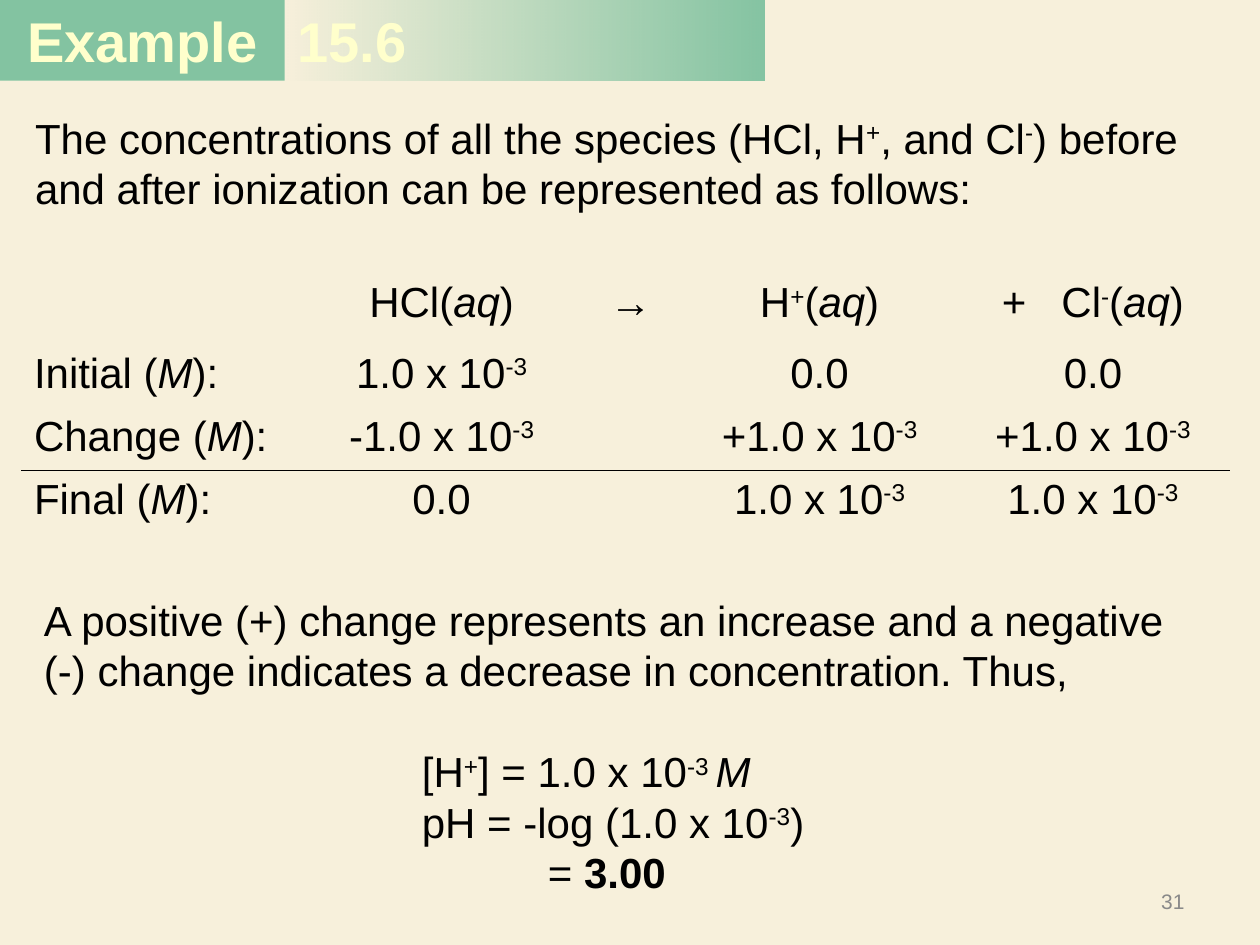
from dataclasses import dataclass
from itertools import groupby

from lxml import etree
from pptx import Presentation
from pptx import util as u
from pptx.dml.color import RGBColor
from pptx.enum import shapes, text
from pptx.oxml import ns


@dataclass(frozen=True)
class Theme:
    """Colours, font and type sizes of the slide."""
    cream: str = "F7F0DB"
    green: str = "109769"
    lemon: str = "FFFFCC"
    ink: str = "000000"
    grey: str = "898989"
    font: str = "Arial"
    heading: int = 32
    body: int = 24
    number: int = 12


THEME = Theme()
LEFT, CENTER, RIGHT = text.PP_ALIGN.LEFT, text.PP_ALIGN.CENTER, text.PP_ALIGN.RIGHT
TOP, MIDDLE = text.MSO_ANCHOR.TOP, text.MSO_ANCHOR.MIDDLE
NO_GRID_STYLE = "{2D5ABB26-0587-4C30-8999-92F81FD0307C}"

INTRO = [("The concentrations of all the species (HCl, H^+^, and Cl^-^) before", 0, 0),
         ("and after ionization can be represented as follows:", 0, 0)]
CONCLUSION = [("A positive (+) change represents an increase and a negative", 0, 0),
              ("(-) change indicates a decrease in concentration. Thus,", 0, 0),
              ("[H^+^] = 1.0 x 10^-3 ^_M_", 3, 1),
              ("pH = -log (1.0 x 10^-3^)", 3, 0),
              ("= *3.00*", 4, 0)]
ICE_ROWS = [["", "HCl(_aq_)", "→", "H^+^(_aq_)", "+~ ~Cl^-^(_aq_)"],
            ["Initial (_M_):", "1.0 x 10^-3^", "", "0.0", "0.0"],
            ["Change (_M_):", "-1.0 x 10^-3^", "", "+1.0 x 10^-3^", "+1.0 x 10^-3^"],
            ["Final (_M_):", "0.0", "", "1.0 x 10^-3^", "1.0 x 10^-3^"]]
COLUMN_WIDTHS = [2.25, 2.17, 0.83, 2.17, 2.17]
ROW_HEIGHTS = [0.56, 0.5, 0.5, 0.56]
LAST_ROW_BEFORE_RULE = 2


def inches(*lengths):
    """Convert plain numbers to lengths."""
    return [u.Inches(length) for length in lengths]


def add_xml(parent, markup):
    """Append a DrawingML fragment to an element."""
    parent.append(etree.fromstring(markup.replace(">", f' {ns.nsdecls("a")}>', 1)))


def write(paragraph, marked, size=THEME.body, color=THEME.ink, align=LEFT, bold=None):
    """Write text where ^ _ * ~ toggle superscript, italic, bold and a wide gap."""
    paragraph.alignment = align
    font = paragraph.font
    font.name, font.size, font.bold = THEME.font, u.Pt(size), bold
    font.color.rgb = RGBColor.from_string(color)
    active = set()
    for is_mark, letters in groupby(marked, lambda letter: letter in "^_*~"):
        if is_mark:
            for mark in letters:
                active ^= {mark}
            continue
        run = paragraph.add_run()
        run.text = "".join(letters)
        if "_" in active:
            run.font.italic = True
        if "*" in active:
            run.font.bold = True
        if "^" in active:
            run.font._element.set("baseline", "30000")
        if "~" in active:
            run.font._element.set("spc", "1330")


def set_frame(shape, anchor, wrap=True):
    """Anchor and size a text frame, and return it."""
    frame = shape.text_frame
    frame.word_wrap, frame.vertical_anchor = wrap, anchor
    frame.auto_size = text.MSO_AUTO_SIZE.NONE
    return frame


def add_band(slide, left, width):
    """Add a borderless rectangle to the heading strip."""
    band = slide.shapes.add_shape(shapes.MSO_SHAPE.RECTANGLE, *inches(left, 0, width, 0.64))
    band.shadow.inherit = False
    band.line.fill.background()
    return band


def add_heading(slide):
    """Build the label band, the fading band and the example number."""
    label = add_band(slide, 0, 2.26)
    label.fill.solid()
    label.fill.fore_color.rgb = RGBColor.from_string(THEME.green)
    add_xml(label.element.spPr.find(".//" + ns.qn("a:srgbClr")), '<a:alpha val="50000"></a:alpha>')

    fade = add_band(slide, 2.26, 3.81)
    fade.fill.gradient()
    fade.fill.gradient_angle = 0
    for stop, position, alpha in zip(fade.fill.gradient_stops, (0, 1), (0, 50000)):
        stop.position = position
        stop.color.rgb = RGBColor.from_string(THEME.green)
        color = stop._gs.find(ns.qn("a:srgbClr"))
        add_xml(color, f'<a:alpha val="{alpha}"></a:alpha>')

    title = slide.shapes.title
    title.left, title.top, title.width, title.height = inches(2.26, 0, 3.81, 0.64)
    fade.element.addnext(title.element)
    for part, words, align in ((label, "Example", CENTER), (title, "15.6", LEFT)):
        paragraph = set_frame(part, TOP).paragraphs[0]
        paragraph.line_spacing = u.Pt(THEME.heading * 1.2)
        write(paragraph, words, THEME.heading, THEME.lemon, align, True)


def add_passage(slide, box, lines):
    """Add lines given as text, indent in inches and blank lines before."""
    frame = set_frame(slide.shapes.add_textbox(*inches(*box)), TOP, False)
    pitch = THEME.body * 1.2
    for index, (words, indent, gap) in enumerate(lines):
        paragraph = frame.add_paragraph() if index else frame.paragraphs[0]
        paragraph.line_spacing = u.Pt(pitch)
        if gap:
            paragraph.space_before = u.Pt(pitch * gap)
        if indent:
            paragraph._p.get_or_add_pPr().set("marL", str(u.Inches(indent)))
        write(paragraph, words)


def add_rule(cell, side):
    """Draw a thin border on one side of a cell."""
    add_xml(cell._tc.get_or_add_tcPr(),
            f'<a:{side} w="{u.Pt(0.45)}"><a:solidFill><a:srgbClr val="{THEME.ink}"/>'
            f'</a:solidFill></a:{side}>')


def add_concentrations(slide):
    """Add the table of initial, changed and final concentrations."""
    frame = slide.shapes.add_table(len(ROW_HEIGHTS), len(COLUMN_WIDTHS), *inches(
        0.17, 2.17, sum(COLUMN_WIDTHS), sum(ROW_HEIGHTS)))
    table = frame.table
    table.first_row = table.horz_banding = False
    frame.element.find(".//" + ns.qn("a:tableStyleId")).text = NO_GRID_STYLE
    for column, width in zip(table.columns, COLUMN_WIDTHS):
        column.width = u.Inches(width)
    for r, (height, row) in enumerate(zip(ROW_HEIGHTS, ICE_ROWS)):
        table.rows[r].height = u.Inches(height)
        for c, words in enumerate(row):
            cell = table.cell(r, c)
            if r == LAST_ROW_BEFORE_RULE:
                add_rule(cell, "lnB")
            elif r == LAST_ROW_BEFORE_RULE + 1:
                add_rule(cell, "lnT")
            cell.fill.background()
            write(cell.text_frame.paragraphs[0], words, align=CENTER if c else LEFT)


def add_page_number(slide):
    """Add the page number at the lower right."""
    frame = set_frame(slide.shapes.add_textbox(*inches(7.17, 6.95, 2.33, 0.4)), MIDDLE)
    write(frame.paragraphs[0], "31", THEME.number, THEME.grey, RIGHT)


def main():
    """Build and save the slide."""
    deck = Presentation()
    deck.slide_width, deck.slide_height = inches(10, 7.5)
    slide = deck.slides.add_slide(deck.slide_layouts.get_by_name("Title Only"))
    slide.background.fill.solid()
    slide.background.fill.fore_color.rgb = RGBColor.from_string(THEME.cream)
    add_heading(slide)
    add_passage(slide, (0.18, 0.84, 9.36, 0.9), INTRO)
    add_concentrations(slide)
    add_passage(slide, (0.25, 4.67, 9.19, 2.5), CONCLUSION)
    add_page_number(slide)
    deck.save("out.pptx")


if __name__ == "__main__":
    main()
